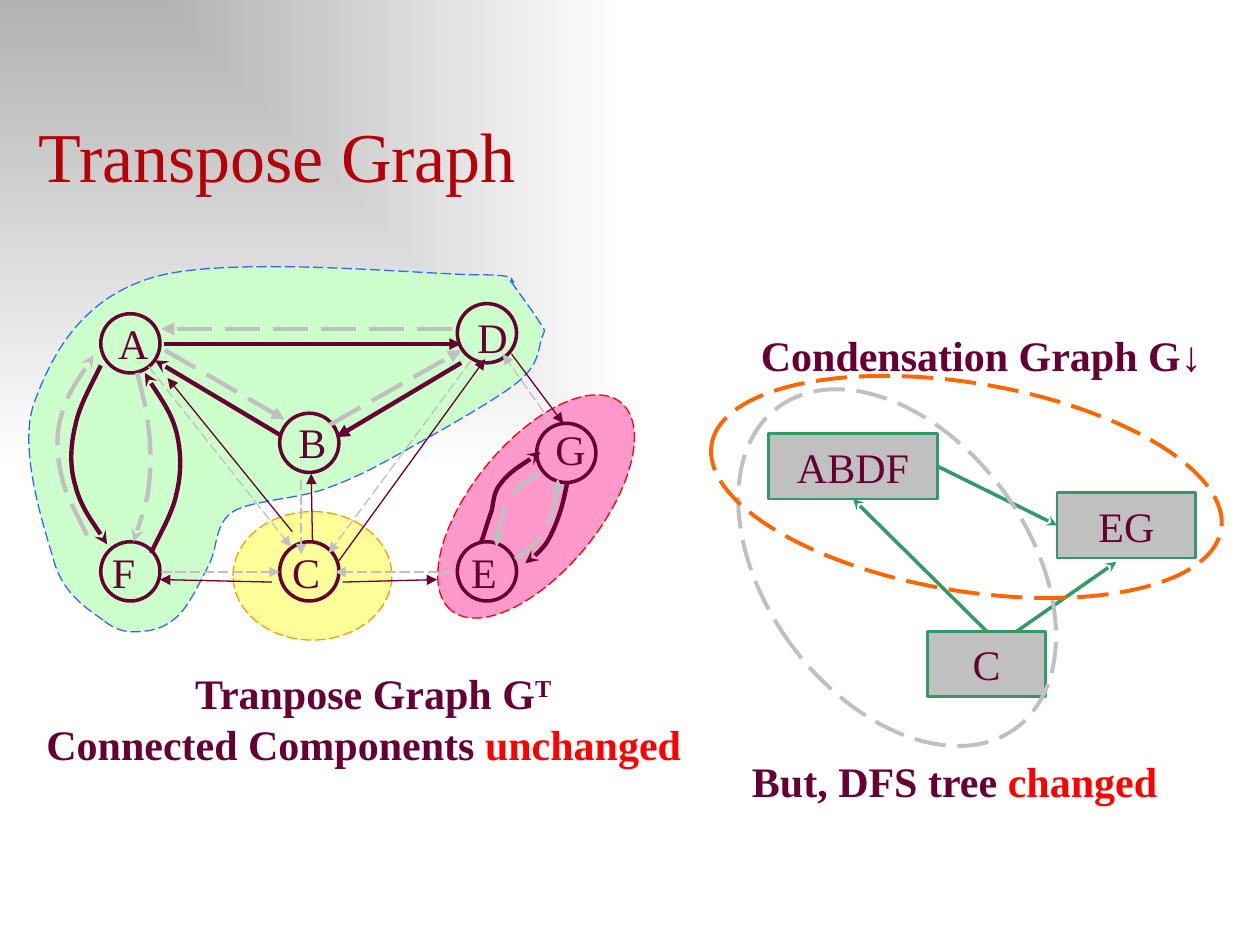
import pptx
import pptx.util
import pptx.dml.color
import pptx.enum.dml
import pptx.enum.shapes
import pptx.enum.text
import pptx.oxml.ns
import pptx.oxml.xmlchemy

Inches, Pt = pptx.util.Inches, pptx.util.Pt
ALIGN = pptx.enum.text.PP_ALIGN
ANCHOR = pptx.enum.text.MSO_ANCHOR
SHAPE = pptx.enum.shapes.MSO_SHAPE
qn, new_element = pptx.oxml.ns.qn, pptx.oxml.xmlchemy.OxmlElement

COLORS = {"plum": "660033", "title": "B60009", "red": "FF0000", "gray": "C0C0C0",
          "pink": "FF99CC", "yellow": "FFFF99", "amber": "FF9900", "mint": "CCFFCC",
          "blue": "3366FF", "green": "339966", "orange": "FF6600",
          "shade": "B2B2B2", "white": "FFFFFF"}
FONT = "Times New Roman"

# Components: box, rotation, fill, line
COMPONENTS = [((3.19, 3.51, 2.13, 1.02), 309.2, "pink", "red"),
              ((1.85, 4.06, 1.26, 1.02), 0, "yellow", "amber")]
ABDF_OUTLINE = [
    (0.83, 4.93), (0.94, 5.02), (1.04, 5.02), (1.14, 5.01), (1.24, 5), (1.33, 4.97),
    (1.42, 4.88), (1.51, 4.79), (1.59, 4.61), (1.66, 4.48), (1.73, 4.34), (1.7, 4.16),
    (1.85, 4.06), (2, 3.97), (2.36, 3.96), (2.58, 3.88), (2.8, 3.8), (2.94, 3.73),
    (3.19, 3.59), (3.44, 3.45), (3.91, 3.19), (4.1, 3.04), (4.29, 2.89), (4.27, 2.76),
    (4.3, 2.68), (4.33, 2.6), (4.33, 2.64), (4.29, 2.57), (4.25, 2.5), (4.1, 2.3),
    (4.06, 2.24), (4.02, 2.18), (4.11, 2.25), (4.06, 2.24), (4.01, 2.23), (4.21, 2.18),
    (3.74, 2.18), (3.27, 2.17), (1.8, 2.03), (1.22, 2.2), (0.64, 2.37), (0.41, 2.82),
    (0.27, 3.2), (0.14, 3.57), (0.35, 4.18), (0.43, 4.46), (0.51, 4.73), (0.71, 4.84),
    (0.83, 4.93)]

# Vertices: circle corner, label corner
NODE_SIZE = 0.47
NODES = {"A": ((0.8, 2.49), (0.84, 2.47)), "B": ((2.22, 3.28), (2.27, 3.26)),
         "C": ((2.22, 4.3), (2.22, 4.29)), "D": ((3.63, 2.41), (3.69, 2.42)),
         "E": ((3.63, 4.3), (3.64, 4.29)), "F": ((0.8, 4.3), (0.79, 4.29)),
         "G": ((4.26, 3.36), (4.31, 3.31))}

# Edges run from source to target: color, width, dashed, arrowhead, point lists.
# Two points make a straight edge, more are Bezier control points.
EDGES = [
    ("gray", 2.5, True, "triangle", [
        [(3.59, 2.61), (1.28, 2.61)], [(2.62, 3.37), (3.66, 2.78)],
        [(1.31, 2.78), (2.26, 3.33)],
        [(4.28, 3.75), (4.21, 3.8), (4.14, 3.84), (4.09, 3.9), (4.04, 3.95),
         (4.01, 4.02), (3.99, 4.09), (3.96, 4.17), (3.95, 4.25), (3.94, 4.34)],
        [(4.09, 4.44), (4.16, 4.39), (4.23, 4.34), (4.28, 4.28), (4.33, 4.22),
         (4.36, 4.15), (4.38, 4.07), (4.41, 3.99), (4.42, 3.89), (4.43, 3.8)]]),
    ("gray", 2.5, True, "stealth", [
        [(0.69, 4.25), (0.65, 4.15), (0.52, 3.94), (0.49, 3.78), (0.45, 3.62),
         (0.44, 3.45), (0.49, 3.29), (0.53, 3.13), (0.7, 2.9), (0.74, 2.82)],
        [(1.09, 2.96), (1.11, 3.05), (1.17, 3.26), (1.18, 3.41), (1.2, 3.56),
         (1.2, 3.72), (1.18, 3.87), (1.16, 4.02), (1.08, 4.23), (1.06, 4.3)]]),
    ("gray", 0.75, True, "triangle", [
        [(2.39, 3.81), (2.39, 4.4)], [(3.74, 2.86), (2.61, 4.39)],
        [(1.28, 4.54), (2.22, 4.54)], [(3.59, 4.54), (2.66, 4.54)],
        [(4.38, 3.36), (3.99, 2.81)], [(1.18, 2.91), (2.31, 4.34)]]),
    ("plum", 2.5, False, "stealth", [
        [(2.22, 3.45), (1.23, 2.86)],
        [(0.8, 2.9), (0.76, 2.99), (0.63, 3.21), (0.6, 3.37), (0.56, 3.53),
         (0.55, 3.7), (0.6, 3.86), (0.64, 4.02), (0.81, 4.25), (0.85, 4.32)],
        [(1.2, 4.39), (1.24, 4.29), (1.37, 4.08), (1.4, 3.92), (1.44, 3.76),
         (1.44, 3.59), (1.4, 3.43), (1.36, 3.27), (1.19, 3.04), (1.15, 2.96)],
        [(4.5, 3.84), (4.48, 3.94), (4.46, 4.03), (4.43, 4.11), (4.4, 4.19),
         (4.37, 4.26), (4.33, 4.32), (4.28, 4.38), (4.23, 4.43), (4.17, 4.47)],
        [(3.82, 4.3), (3.85, 4.22), (3.87, 4.14), (3.9, 4.06), (3.92, 3.99),
         (3.91, 3.91), (3.98, 3.83), (4.04, 3.75), (4.17, 3.67), (4.29, 3.59)]]),
    ("plum", 2.25, False, "triangle", [[(1.3, 2.73), (3.66, 2.73)]]),
    ("plum", 2.5, False, "triangle", [[(3.66, 2.88), (2.67, 3.47)]]),
    ("plum", 0.75, False, "triangle", [
        [(2.72, 4.62), (3.47, 4.6)], [(2.69, 4.45), (3.85, 2.85)],
        [(2.48, 4.3), (2.47, 3.76)], [(2.32, 4.22), (1.33, 3)],
        [(2.16, 4.62), (1.27, 4.6)], [(4.06, 2.81), (4.47, 3.36)]]),
]

# Condensation graph: vertices, edges (points, begin join, end join), DFS trees
CONDENSED = {"ABDF": (6.1, 3.44, 1.34, 0.52), "C": (7.36, 5.01, 0.94, 0.52),
             "EG": (8.39, 3.91, 1.1, 0.52)}
CONDENSED_EDGES = [([(7.44, 3.67), (8.39, 4.14)], ("ABDF", 3), ("EG", 1)),
                   ([(7.84, 5.01), (6.81, 3.99)], ("C", 0), ("ABDF", 2)),
                   ([(8.07, 5.01), (8.86, 4.46)], None, None)]
TREES = [((6.08, 2.92, 2.08, 3.17), 323.4, "gray"),
         ((5.62, 3.04, 4.1, 1.65), 9.5, "orange")]

# Captions: box, paragraphs of (text, color, superscript) spans, alignments
CAPTIONS = [
    ((0.27, 5.25, 5.43, 0.91),
     [[("Tranpose Graph G", "plum", False), ("T ", "plum", True)],
      [("Connected Components ", "plum", False), ("unchanged", "red", False)]],
     [ALIGN.CENTER, ALIGN.LEFT]),
    ((5.94, 2.57, 4.06, 0.5), [[("Condensation Graph G↓", "plum", False)]], [ALIGN.LEFT]),
    ((5.87, 5.95, 3.7, 0.5),
     [[("But, DFS tree ", "plum", False), ("changed", "red", False)]], [ALIGN.LEFT]),
]


def rgb(name):
    return pptx.dml.color.RGBColor.from_string(COLORS[name])


def add_span(para, text, size=24, color="plum", bold=False, raised=False):
    span = para.add_run()
    span.text = text
    span.font.name, span.font.size, span.font.bold = FONT, Pt(size), bold
    span.font.color.rgb = rgb(color)
    if raised:
        span.font._element.set("baseline", "30000")


def add_box(place, anchor=ANCHOR.TOP):
    frame = page.shapes.add_textbox(*map(Inches, place)).text_frame
    frame.word_wrap = True
    frame.vertical_anchor = anchor
    return frame


def style_line(item, color, width, dashed=False, arrow=None):
    item.line.color.rgb = rgb(color)
    item.line.width = Pt(width)
    if dashed:
        item.line.dash_style = pptx.enum.dml.MSO_LINE.LONG_DASH
    if arrow:
        tip = new_element("a:tailEnd")
        tip.set("type", arrow)
        item.element.spPr.find(qn("a:ln")).append(tip)


def style_shape(shape, fill, *line):
    shape.shadow.inherit = False
    if fill:
        shape.fill.solid()
        shape.fill.fore_color.rgb = rgb(fill)
    else:
        shape.fill.background()
    style_line(shape, *line)


def add_figure(kind, place, fill, *line, rotation=0):
    shape = page.shapes.add_shape(kind, *map(Inches, place))
    shape.rotation = rotation
    style_shape(shape, fill, *line)
    return shape


def add_curve(points, fill, *line, closed=False):
    start, *rest = [(Inches(x), Inches(y)) for x, y in points]
    builder = page.shapes.build_freeform(*start)
    builder.add_line_segments(rest, close=closed)
    shape = builder.convert_to_shape()
    # Every three control points become one cubic segment
    outline = shape.element.find(".//" + qn("a:path"))
    steps = outline.findall(qn("a:lnTo"))
    for i in range(0, len(steps), 3):
        curve = new_element("a:cubicBezTo")
        steps[i].addprevious(curve)
        for step in steps[i:i + 3]:
            curve.append(step[0])
            outline.remove(step)
    style_shape(shape, fill, *line)


def add_straight(points, *line):
    ends = [Inches(value) for point in points for value in point]
    edge = page.shapes.add_connector(pptx.enum.shapes.MSO_CONNECTOR.STRAIGHT, *ends)
    style_line(edge, *line)
    edge.element.spPr.append(new_element("a:effectLst"))
    return edge


deck = pptx.Presentation()
deck.slide_width, deck.slide_height = Inches(10), Inches(7.5)
page = deck.slides.add_slide(deck.slide_layouts[6])

# Background gradient spreading from the top left corner
backdrop = page.background.fill
backdrop.gradient()
for stop, position, shade in zip(backdrop.gradient_stops, (0, 1), ("shade", "white")):
    stop.position, stop.color.rgb = position, rgb(shade)
gradient = page.element.find(".//" + qn("a:gradFill"))
spread, corner = new_element("a:path"), new_element("a:fillToRect")
spread.set("path", "rect")
corner.set("r", "100000")
corner.set("b", "100000")
spread.append(corner)
gradient.replace(gradient.find(qn("a:lin")), spread)

# Components and title
for place, rotation, fill, line in COMPONENTS:
    add_figure(SHAPE.OVAL, place, fill, line, 0.75, True, rotation=rotation)
add_curve(ABDF_OUTLINE, "mint", "blue", 0.75, True, closed=True)
title = add_box((0.21, 0.84, 9.79, 0.77), ANCHOR.BOTTOM)
add_span(title.paragraphs[0], "Transpose Graph", size=40, color="title")

# Transpose graph
for corner_at, _ in NODES.values():
    add_figure(SHAPE.OVAL, (*corner_at, NODE_SIZE, NODE_SIZE), None, "plum", 2)
for color, width, dashed, arrow, routes in EDGES:
    for points in routes:
        if len(points) == 2:
            add_straight(points, color, width, dashed, arrow)
        else:
            add_curve(points, None, color, width, dashed, arrow)
for name, (_, label_at) in NODES.items():
    add_span(add_box((*label_at, 0.64, 0.5)).paragraphs[0], name)

# Condensation graph
boxes = {}
for name, place in CONDENSED.items():
    boxes[name] = add_figure(SHAPE.RECTANGLE, place, "gray", "green", 1.5)
    boxes[name].text_frame.vertical_anchor = ANCHOR.MIDDLE
    para = boxes[name].text_frame.paragraphs[0]
    para.alignment = ALIGN.CENTER
    add_span(para, name)
for points, begin, end in CONDENSED_EDGES:
    edge = add_straight(points, "green", 2, False, "stealth")
    if begin:
        edge.begin_connect(boxes[begin[0]], begin[1])
    if end:
        edge.end_connect(boxes[end[0]], end[1])
for place, rotation, color in TREES:
    add_figure(SHAPE.OVAL, place, None, color, 2.25, True, rotation=rotation)

# Captions
for place, paragraphs, alignments in CAPTIONS:
    frame = add_box(place)
    for i, (spans, alignment) in enumerate(zip(paragraphs, alignments)):
        para = frame.add_paragraph() if i else frame.paragraphs[0]
        para.alignment = alignment
        for text, color, raised in spans:
            add_span(para, text, color=color, bold=True, raised=raised)

deck.save("out.pptx")
